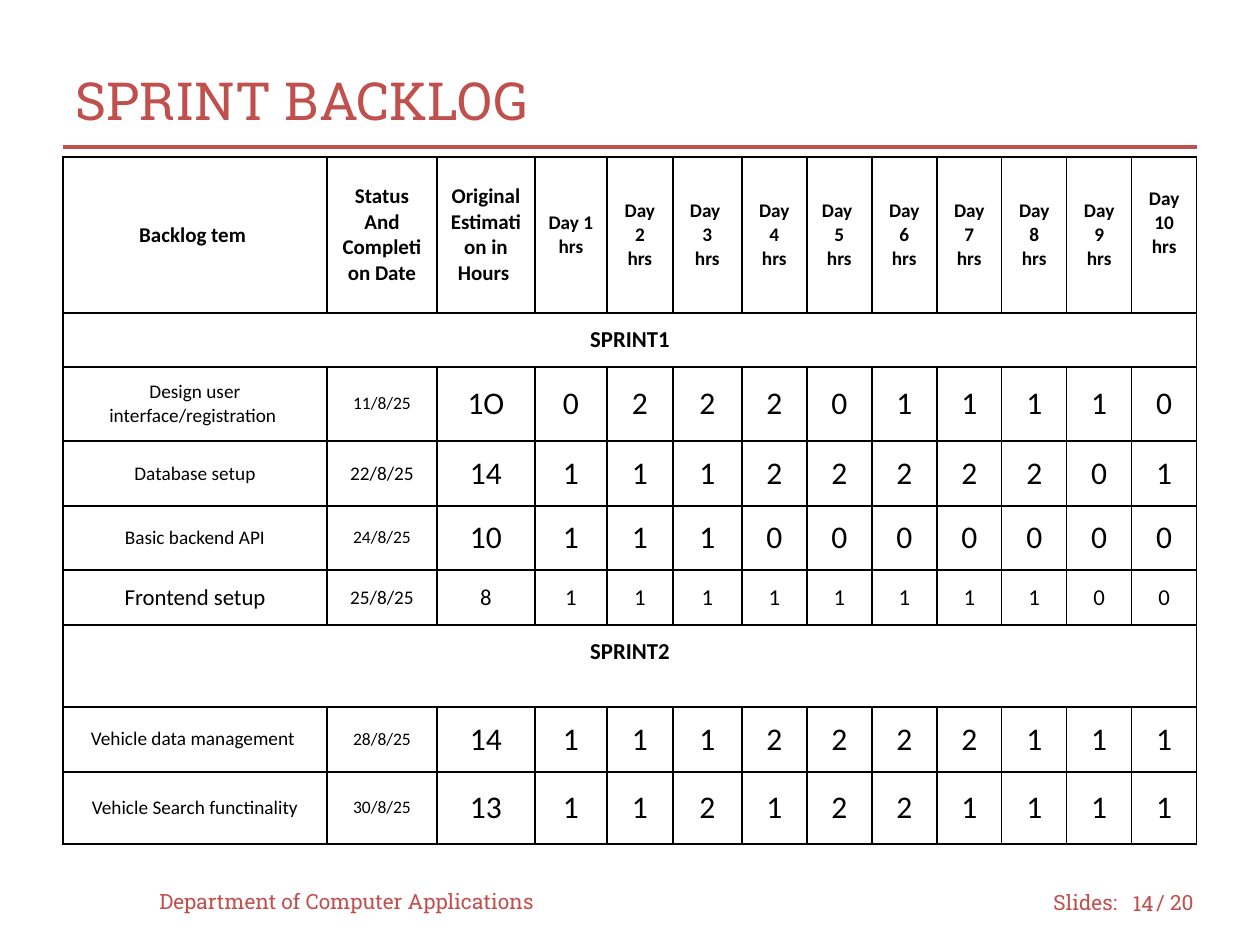
import dataclasses

import lxml.etree
import pptx
import pptx.dml.color
import pptx.enum.dml
import pptx.enum.shapes
import pptx.enum.text
import pptx.oxml.ns
import pptx.util


@dataclasses.dataclass(frozen=True)
class Theme:
    accent: str = "C0504D"
    ink: str = "000000"
    paper: str = "FFFFFF"
    heading_font: str = "Roboto Slab"
    table_font: str = "Calibri"
    title: int = 30
    footer: int = 12
    header: int = 12
    sprint: int = 13
    label: int = 11
    date: int = 10
    hours: int = 18


theme = Theme()
Align = pptx.enum.text.PP_ALIGN
Anchor = pptx.enum.text.MSO_ANCHOR
qn = pptx.oxml.ns.qn


def px(length):
    return pptx.util.Emu(round(length * 914400 / 126))


def write(text_frame, text, size, font, color, align=Align.LEFT, bold=False):
    for index, line in enumerate(text.split("\n")):
        paragraph = text_frame.paragraphs[0] if index == 0 else text_frame.add_paragraph()
        paragraph.alignment = align
        run = paragraph.add_run()
        run.text = line
        run.font.size = pptx.util.Pt(size)
        run.font.name = font
        run.font.bold = bold
        run.font.color.rgb = pptx.dml.color.RGBColor.from_string(color)


presentation = pptx.Presentation()
presentation.slide_width = px(1260)
presentation.slide_height = px(945)
slide = presentation.slides.add_slide(presentation.slide_layouts[5])

for y, dash in [(844, pptx.enum.dml.MSO_LINE.DASH), (147, None)]:
    rule = slide.shapes.add_connector(
        pptx.enum.shapes.MSO_CONNECTOR.STRAIGHT, px(63), px(y), px(1197), px(y))
    rule.line.color.rgb = pptx.dml.color.RGBColor.from_string(theme.accent)
    rule.line.width = pptx.util.Pt(1.75)
    rule.line.dash_style = dash
    lxml.etree.SubElement(rule._element.spPr, qn("a:effectLst"))

title = slide.shapes.title
title.left, title.top, title.width, title.height = px(63), px(42), px(1134), px(116)
title.text_frame.vertical_anchor = Anchor.MIDDLE
write(title.text_frame, "SPRINT BACKLOG", theme.title, theme.heading_font, theme.accent)

footers = [
    ("Slides:", 1041, 877, 95, Align.LEFT),
    ("/ 20", 1144, 877, 73, Align.LEFT),
    ("Department of Computer Applications", 147, 876, 420, Align.LEFT),
    ("14", 1113, 878, 53, Align.RIGHT),
]
for text, left, top, width, align in footers:
    text_box = slide.shapes.add_textbox(px(left), px(top), px(width), px(50))
    text_box.text_frame.word_wrap = True
    text_box.text_frame.vertical_anchor = Anchor.MIDDLE
    write(text_box.text_frame, text, theme.footer, theme.heading_font, theme.accent, align)

header = ["Backlog tem ", "Status And Completion Date", "Original Estimation in Hours ",
          "Day 1\nhrs", "Day 2\nhrs", "Day \n3\nhrs", "Day\n4\nhrs", "Day \n5\nhrs"]
header += [f"Day {day}\nhrs" for day in range(6, 11)]
small, regular = theme.date, theme.label
rows = [
    (156, header, [theme.header] * 3 + [theme.label] * 10),
    (54, ["SPRINT1"], [theme.sprint]),
    (74, ["Design user interface/registration ", "11/8/25", "1O", *"0222011110"],
     [regular, small] + [theme.hours] * 11),
    (65, ["Database setup", "22/8/25", "14", *"1112222201"],
     [regular, regular] + [theme.hours] * 11),
    (64, ["Basic backend API", "24/8/25", "10", *"1110000000"],
     [regular, small] + [theme.hours] * 11),
    (55, ["Frontend setup", "25/8/25", "8", *"1111111100"],
     [theme.sprint, regular] + [theme.sprint] * 11),
    (82, ["SPRINT2"], [theme.sprint]),
    (65, ["Vehicle data management ", "28/8/25", "14", *"1112222111"],
     [regular, small] + [theme.hours] * 11),
    (72, ["Vehicle Search functinality", "30/8/25", "13", *"1121221111"],
     [regular, small] + [theme.hours] * 11),
]
column_widths = [264, 110, 98, 72, 66, 69] + [65] * 7

table = slide.shapes.add_table(
    len(rows), len(column_widths), px(63), px(157), px(1134), px(687)).table
table.first_row = False
table.horz_banding = False
for column, width in zip(table.columns, column_widths):
    column.width = px(width)

for row_index, (height, texts, sizes) in enumerate(rows):
    table.rows[row_index].height = px(height)
    for cell in table.rows[row_index].cells:
        cell.vertical_anchor = Anchor.MIDDLE
        cell.margin_left = cell.margin_right = cell.margin_top = cell.margin_bottom = px(13)
        properties = cell._tc.get_or_add_tcPr()
        for side in ("a:lnL", "a:lnR", "a:lnT", "a:lnB"):
            border = lxml.etree.SubElement(properties, qn(side), w=str(pptx.util.Pt(1)))
            border_fill = lxml.etree.SubElement(border, qn("a:solidFill"))
            lxml.etree.SubElement(border_fill, qn("a:srgbClr"), val=theme.ink)
        cell.fill.solid()
        cell.fill.fore_color.rgb = pptx.dml.color.RGBColor.from_string(theme.paper)
    is_sprint = len(texts) == 1
    if is_sprint:
        table.cell(row_index, 0).merge(table.cell(row_index, len(column_widths) - 1))
    for column_index, (text, size) in enumerate(zip(texts, sizes)):
        write(table.cell(row_index, column_index).text_frame, text, size, theme.table_font,
              theme.ink, Align.CENTER, bold=is_sprint or row_index == 0)

table.cell(0, 12).margin_bottom = px(37)
table.cell(6, 0).margin_bottom = px(41)

presentation.save("out.pptx")
